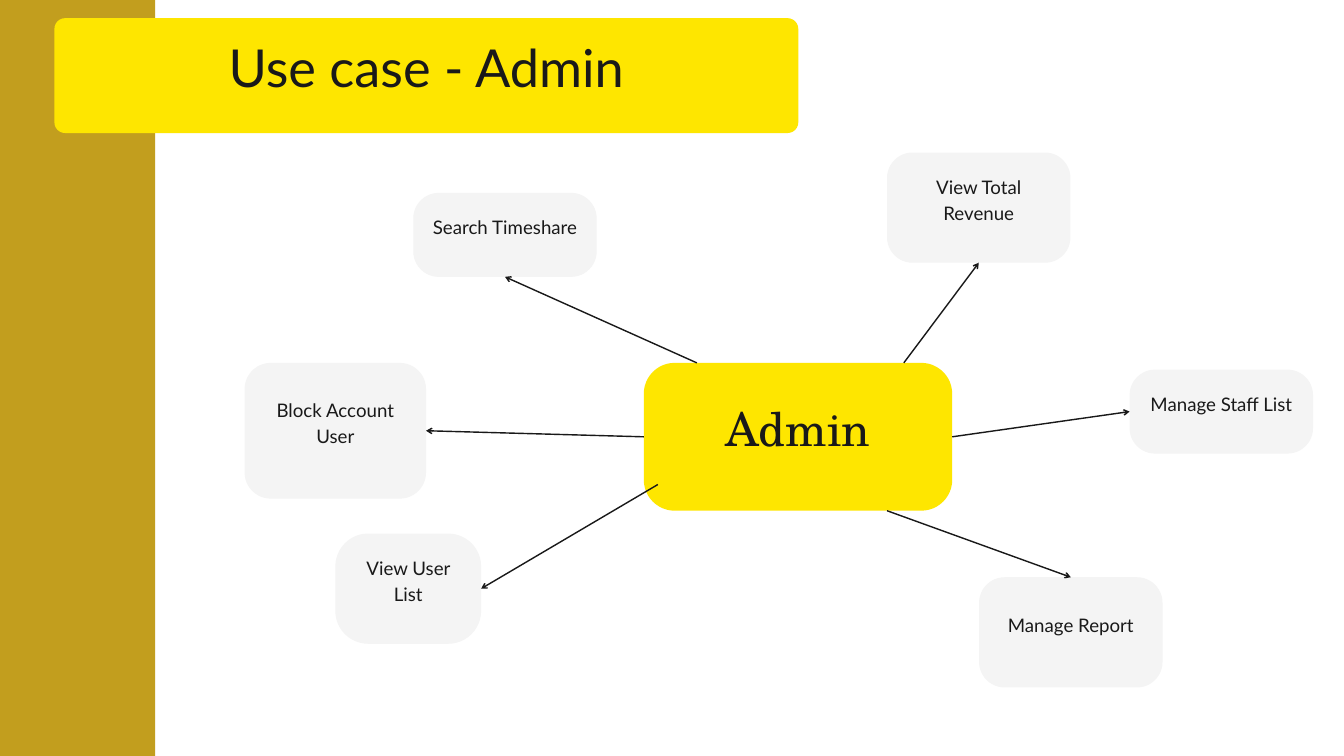
from dataclasses import dataclass

from lxml import etree
from pptx import Presentation
from pptx.dml.color import RGBColor
from pptx.enum.shapes import MSO_CONNECTOR, MSO_SHAPE
from pptx.enum.text import MSO_ANCHOR, PP_ALIGN
from pptx.oxml.ns import qn
from pptx.util import Pt

RECT, ROUND = MSO_SHAPE.RECTANGLE, MSO_SHAPE.ROUNDED_RECTANGLE
LINE = MSO_CONNECTOR.STRAIGHT
MIDDLE, CENTER = MSO_ANCHOR.MIDDLE, PP_ALIGN.CENTER
TOP, LEFT, BOTTOM, RIGHT = range(4)  # connection sites of a box
PX = 9144  # 100 px to the inch


@dataclass(frozen=True)
class Theme:
    ink: str = "191919"
    gold: str = "C29E1E"
    yellow: str = "FEE600"
    gray: str = "F4F4F4"
    sans: str = "Lato"
    serif: str = "TeX Gyre Schola"
    title: int = 56
    hub: int = 50
    body: int = 20
    stroke: float = 1.5
    pad: int = 28


class Board:
    def __init__(self, slide, theme):
        self.slide = slide
        self.theme = theme

    def box(self, x, y, w, h, color, radius=0):
        kind = ROUND if radius else RECT
        shape = self.slide.shapes.add_shape(kind, x * PX, y * PX, w * PX, h * PX)
        if radius:
            shape.adjustments[0] = radius / min(w, h)
        shape.shadow.inherit = False
        shape.fill.solid()
        shape.fill.fore_color.rgb = RGBColor.from_string(color)
        shape.line.fill.background()
        return shape

    def text(self, words, x, y, w, h, *, size, lead, font):
        frame = self.slide.shapes.add_textbox(x * PX, y * PX, w * PX, h * PX).text_frame
        frame.word_wrap = True
        frame.vertical_anchor = MIDDLE
        pad = self.theme.pad * PX
        frame.margin_left = frame.margin_right = pad
        frame.margin_top = frame.margin_bottom = pad
        para = frame.paragraphs[0]
        para.alignment = CENTER
        para.line_spacing = Pt(lead)
        run = para.add_run()
        run.text = words
        run.font.size = Pt(size)
        run.font.name = font
        run.font.color.rgb = RGBColor.from_string(self.theme.ink)

    def card(self, words, x, y, w, h, *, color, radius, rise=28, **style):
        """Rounded box with a label area that starts `rise` px above it."""
        shape = self.box(x, y, w, h, color, radius)
        self.text(words, x, y - rise, w, h + rise, **style)
        return shape

    def arrow(self, x, y, card, site):
        link = self.slide.shapes.add_connector(LINE, x * PX, y * PX, x * PX, y * PX)
        link.end_connect(card, site)
        link.line.color.rgb = RGBColor.from_string(self.theme.ink)
        link.line.width = Pt(self.theme.stroke)
        etree.SubElement(link.line._get_or_add_ln(), qn("a:tailEnd"), type="arrow")
        etree.SubElement(link._element.spPr, qn("a:effectLst"))


# label, card x, y, w, h, radius, arrow start x, y, card side it meets
CASES = [
    ("Block Account User", 364, 540, 270, 202, 39, 958, 650, RIGHT),
    ("View User List", 499, 794, 217, 164, 49, 979, 721, RIGHT),
    ("Search Timeshare", 615, 287, 273, 125, 38, 1037, 540, BOTTOM),
    ("Manage Report", 1457, 859, 273, 164, 38, 1320, 760, TOP),
    ("Manage Staff List", 1681, 550, 273, 125, 38, 1417, 650, LEFT),
    ("View Total Revenue", 1320, 227, 273, 164, 38, 1345, 540, BOTTOM),
]


def main():
    deck = Presentation()
    deck.slide_width, deck.slide_height = 2000 * PX, 1125 * PX
    theme = Theme()
    board = Board(deck.slides.add_slide(deck.slide_layouts[6]), theme)

    board.box(0, 0, 231, 1125, theme.gold)
    board.card("Use case - Admin", 81, 27, 1107, 171, color=theme.yellow,
               radius=16, size=theme.title, lead=67.2, font=theme.sans)
    board.card("Admin", 958, 540, 459, 220, color=theme.yellow, radius=46,
               rise=40, size=theme.hub, lead=70, font=theme.serif)
    for words, x, y, w, h, radius, from_x, from_y, site in CASES:
        card = board.card(words, x, y, w, h, color=theme.gray, radius=radius,
                          size=theme.body, lead=28, font=theme.sans)
        board.arrow(from_x, from_y, card, site)

    deck.save("out.pptx")


if __name__ == "__main__":
    main()
